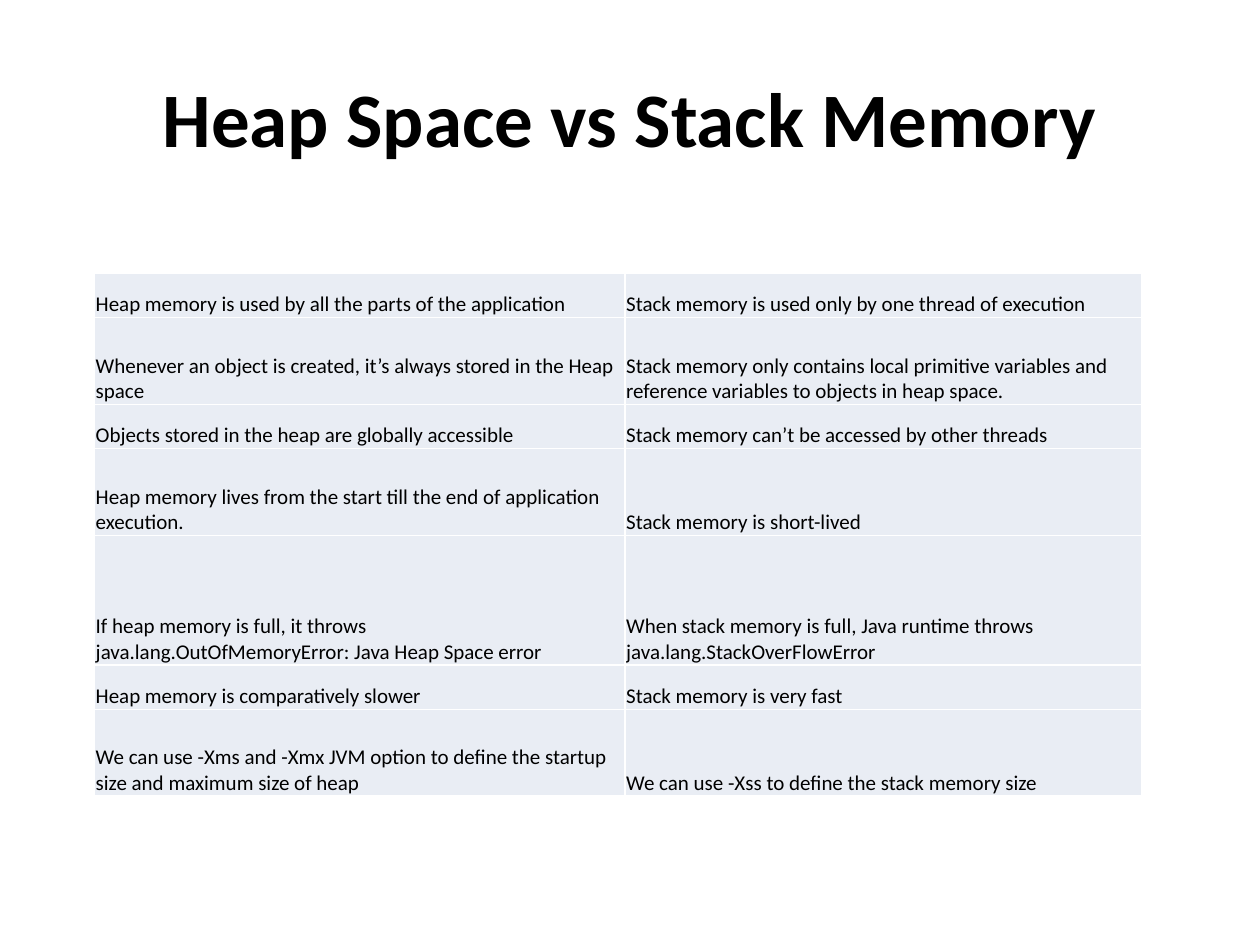
from lxml.etree import SubElement
from pptx import Presentation
from pptx.dml.color import RGBColor
from pptx.enum.text import MSO_ANCHOR, PP_ALIGN
from pptx.oxml.ns import qn
from pptx.util import Inches, Pt

COLORS = {"text": "000000", "cell": "E9EDF4", "border": "FFFFFF"}
COLUMN_WIDTHS = [4.21, 4.1]
LINE_HEIGHT = 0.35
COMPARISON = [  # row height, heap, stack
    (LINE_HEIGHT, "Heap memory is used by all the parts of the application",
     "Stack memory is used only by one thread of execution"),
    (0.69, "Whenever an object is created, it’s always stored in the Heap space",
     "Stack memory only contains local primitive variables and reference "
     "variables to objects in heap space."),
    (LINE_HEIGHT, "Objects stored in the heap are globally accessible",
     "Stack memory can’t be accessed by other threads"),
    (0.69, "Heap memory lives from the start till the end of application execution.",
     "Stack memory is short-lived"),
    (1.03, "If heap memory is full, it throws java.lang.OutOfMemoryError: "
     "Java Heap Space error",
     "When stack memory is full, Java runtime throws java.lang.StackOverFlowError"),
    (LINE_HEIGHT, "Heap memory is comparatively slower", "Stack memory is very fast"),
    (0.69, "We can use -Xms and -Xmx JVM option to define the startup size "
     "and maximum size of heap",
     "We can use -Xss to define the stack memory size"),
]


def write_text(text_frame, text, size=12, bold=False, align=PP_ALIGN.LEFT):
    """Fill the first paragraph of a text frame with formatted text."""
    paragraph = text_frame.paragraphs[0]
    paragraph.alignment = align
    run = paragraph.add_run()
    run.text = text
    run.font.name = "Calibri"
    run.font.size = Pt(size)
    run.font.bold = bold
    run.font.color.rgb = RGBColor.from_string(COLORS["text"])


class SlideBuilder:
    def __init__(self, slide, colors):
        self.slide = slide
        self.colors = colors

    def title(self, text, left, top, width, height):
        shape = self.slide.shapes.add_textbox(
            Inches(left), Inches(top), Inches(width), Inches(height))
        shape.text_frame.word_wrap = True
        shape.text_frame.vertical_anchor = MSO_ANCHOR.MIDDLE
        write_text(shape.text_frame, text, size=44, bold=True, align=PP_ALIGN.CENTER)

    def table(self, rows, column_widths, left, top):
        height = sum(row[0] for row in rows)
        table = self.slide.shapes.add_table(
            len(rows), len(column_widths), Inches(left), Inches(top),
            Inches(sum(column_widths)), Inches(height)).table
        table.first_row = False
        table.horz_banding = False
        for column, width in zip(table.columns, column_widths):
            column.width = Inches(width)
        for table_row, (row_height, *texts) in zip(table.rows, rows):
            table_row.height = Inches(row_height)
            for cell, text in zip(table_row.cells, texts):
                self.cell(cell, text)

    def cell(self, cell, text):
        cell.margin_left = cell.margin_right = cell.margin_top = Inches(0.01)
        cell.margin_bottom = 0
        cell.vertical_anchor = MSO_ANCHOR.BOTTOM
        write_text(cell.text_frame, text)
        # Borders come before the fill in the cell properties
        properties = cell._tc.get_or_add_tcPr()
        for side in ("a:lnL", "a:lnR", "a:lnT", "a:lnB"):
            line = SubElement(properties, qn(side), w=str(Pt(1)))
            fill = SubElement(line, qn("a:solidFill"))
            SubElement(fill, qn("a:srgbClr"), val=self.colors["border"])
        cell.fill.solid()
        cell.fill.fore_color.rgb = RGBColor.from_string(self.colors["cell"])


def main():
    presentation = Presentation()
    presentation.slide_width = Inches(10)
    presentation.slide_height = Inches(7.5)
    slide = presentation.slides.add_slide(presentation.slide_layouts[6])
    builder = SlideBuilder(slide, COLORS)

    # Heading
    builder.title("Heap Space vs Stack Memory", 0.5, 0.3, 9, 1.25)

    # Comparison table
    builder.table(COMPARISON, COLUMN_WIDTHS, 0.75, 2.17)

    presentation.save("out.pptx")


if __name__ == "__main__":
    main()
